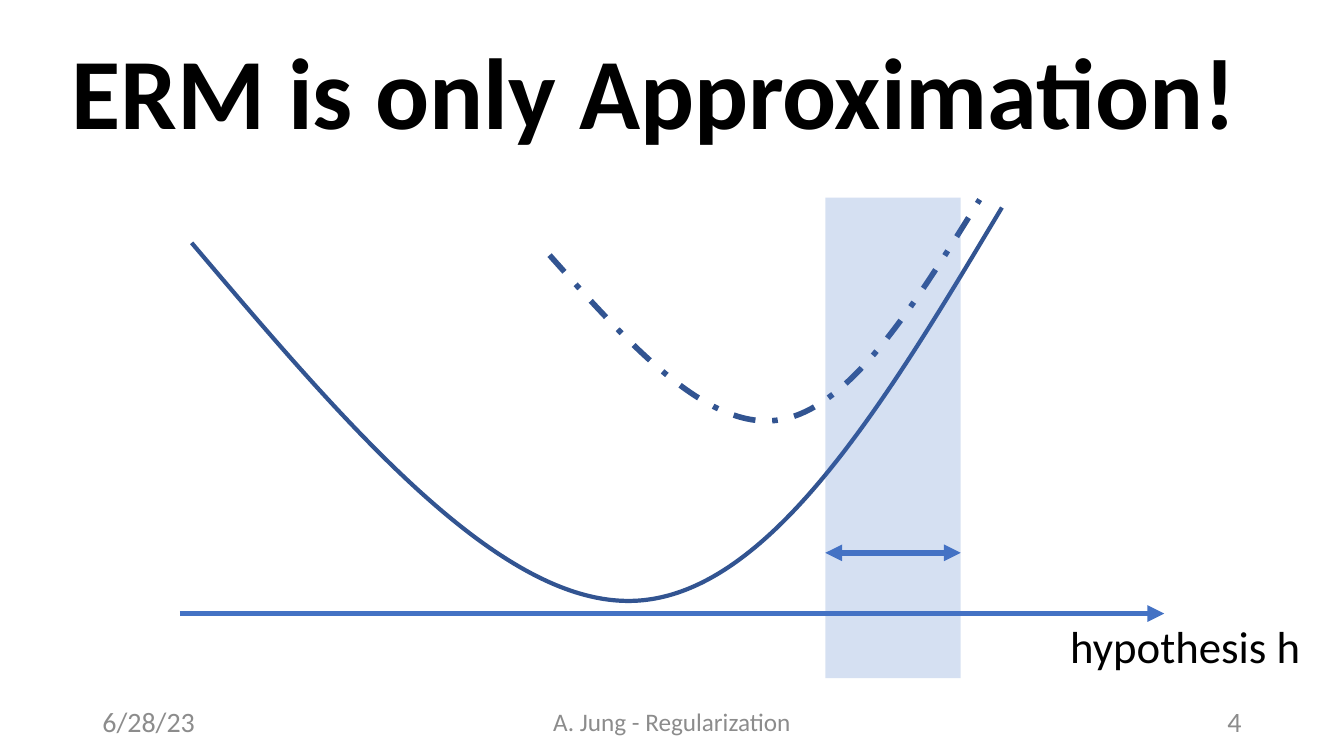
from dataclasses import dataclass

from pptx import Presentation
from pptx.dml.color import RGBColor
from pptx.enum.dml import MSO_LINE
from pptx.enum.shapes import MSO_CONNECTOR, MSO_SHAPE
from pptx.enum.text import MSO_ANCHOR, MSO_AUTO_SIZE, PP_ALIGN
from pptx.oxml.ns import qn
from pptx.util import Cm, Pt
from lxml.etree import SubElement


@dataclass(frozen=True)
class Theme:
    font: str = "Calibri"
    text: RGBColor = RGBColor(0x00, 0x00, 0x00)
    muted: RGBColor = RGBColor(0x8C, 0x8C, 0x8C)
    accent: RGBColor = RGBColor(0x44, 0x72, 0xC4)
    curve: RGBColor = RGBColor(0x32, 0x54, 0x91)
    band_opacity: int = 22
    title_size: int = 72
    label_size: int = 32
    footer_size: int = 20
    footer_center_size: int = 18
    thin: int = 3
    thick: int = 4


THEME = Theme()
FOOTER_TOP, FOOTER_HEIGHT = 17.66, 1.02
BAND_LEFT, BAND_RIGHT = 20.8, 24.21
AXIS_Y = 15.46


def write(shape, text, size, color, align=PP_ALIGN.LEFT, bold=False):
    frame = shape.text_frame
    frame.text = text
    paragraph = frame.paragraphs[0]
    paragraph.alignment = align
    font = paragraph.runs[0].font
    font.name, font.size, font.bold = THEME.font, Pt(size), bold
    font.color.rgb = color
    return frame


def set_title(slide, text):
    title = slide.shapes.title
    title.left, title.top, title.width, title.height = Cm(1.55), Cm(0.61), Cm(30.76), Cm(3.68)
    frame = write(title, text, THEME.title_size, THEME.text, bold=True)
    frame.auto_size = MSO_AUTO_SIZE.NONE
    frame.vertical_anchor = MSO_ANCHOR.MIDDLE
    frame.paragraphs[0].line_spacing = 0.9


def add_footer(slide, text, left, width, size, align):
    box = slide.shapes.add_textbox(Cm(left), Cm(FOOTER_TOP), Cm(width), Cm(FOOTER_HEIGHT))
    frame = write(box, text, size, THEME.muted, align)
    frame.word_wrap = True
    frame.vertical_anchor = MSO_ANCHOR.MIDDLE


def add_axis_label(slide, text):
    box = slide.shapes.add_textbox(Cm(26.72), Cm(AXIS_Y), Cm(6.63), Cm(1.63))
    frame = write(box, text, THEME.label_size, THEME.text)
    frame.word_wrap = False
    frame.auto_size = MSO_AUTO_SIZE.SHAPE_TO_FIT_TEXT


def add_arrow(slide, left, right, y, double=False):
    arrow = slide.shapes.add_connector(MSO_CONNECTOR.STRAIGHT, Cm(left), Cm(y), Cm(right), Cm(y))
    arrow.line.color.rgb = THEME.accent
    arrow.line.width = Pt(THEME.thick)
    line = arrow.line._get_or_add_ln()
    for end in ("a:headEnd", "a:tailEnd") if double else ("a:tailEnd",):
        SubElement(line, qn(end), type="triangle")
    SubElement(arrow._element.spPr, qn("a:effectLst"))


def add_curve(slide, points, width, dash=None):
    """Draw joined cubics: an anchor, then two controls and an anchor for each."""
    points = [(Cm(x), Cm(y)) for x, y in points]
    anchors = points[::3]
    builder = slide.shapes.build_freeform(*anchors[0])
    builder.add_line_segments(anchors[1:], close=False)
    curve = builder.convert_to_shape()

    outline = next(curve._element.iter(qn("a:path")))
    for index, segment in enumerate(outline.findall(qn("a:lnTo"))):
        segment.tag = qn("a:cubicBezTo")
        controls = points[3 * index + 1:3 * index + 3]
        for position, (x, y) in enumerate(controls):
            point = SubElement(segment, qn("a:pt"), x=str(x - curve.left), y=str(y - curve.top))
            segment.insert(position, point)

    curve.shadow.inherit = False
    curve.fill.background()
    curve.line.color.rgb = THEME.curve
    curve.line.width = Pt(width)
    if dash is not None:
        curve.line.dash_style = dash


def add_band(slide):
    band = slide.shapes.add_shape(MSO_SHAPE.RECTANGLE, Cm(BAND_LEFT), Cm(4.98),
                                  Cm(BAND_RIGHT - BAND_LEFT), Cm(12.11))
    band.shadow.inherit = False
    band.line.fill.background()
    band.fill.solid()
    band.fill.fore_color.rgb = THEME.accent
    color = band._element.spPr.find(qn("a:solidFill"))[0]
    SubElement(color, qn("a:alpha"), val=str(THEME.band_opacity * 1000))


def main():
    presentation = Presentation()
    presentation.slide_width, presentation.slide_height = Cm(33.87), Cm(19.05)
    slide = presentation.slides.add_slide(presentation.slide_layouts[5])

    set_title(slide, "ERM is only Approximation!")
    add_footer(slide, "A. Jung - Regularization", 11.22, 11.43,
               THEME.footer_center_size, PP_ALIGN.CENTER)
    add_footer(slide, "4", 23.92, 7.62, THEME.footer_size, PP_ALIGN.RIGHT)
    add_arrow(slide, 4.53, 29.34, AXIS_Y)
    add_axis_label(slide, "hypothesis h")
    add_curve(slide, [(4.83, 6.12), (8.71, 10.69), (12.6, 15.29), (16, 15.14),
                      (19.41, 14.99), (22.33, 10.11), (25.25, 5.23)], THEME.thin)
    add_curve(slide, [(13.85, 6.43), (15.82, 8.64), (17.78, 10.82), (19.58, 10.59),
                      (21.39, 10.36), (23.04, 7.7), (24.69, 5.03)],
              THEME.thick, MSO_LINE.DASH_DOT)
    add_band(slide)
    add_arrow(slide, BAND_LEFT, BAND_RIGHT, 13.93, double=True)
    add_footer(slide, "6/28/23", 2.33, 7.62, THEME.footer_size, PP_ALIGN.LEFT)

    presentation.save("out.pptx")


if __name__ == "__main__":
    main()
